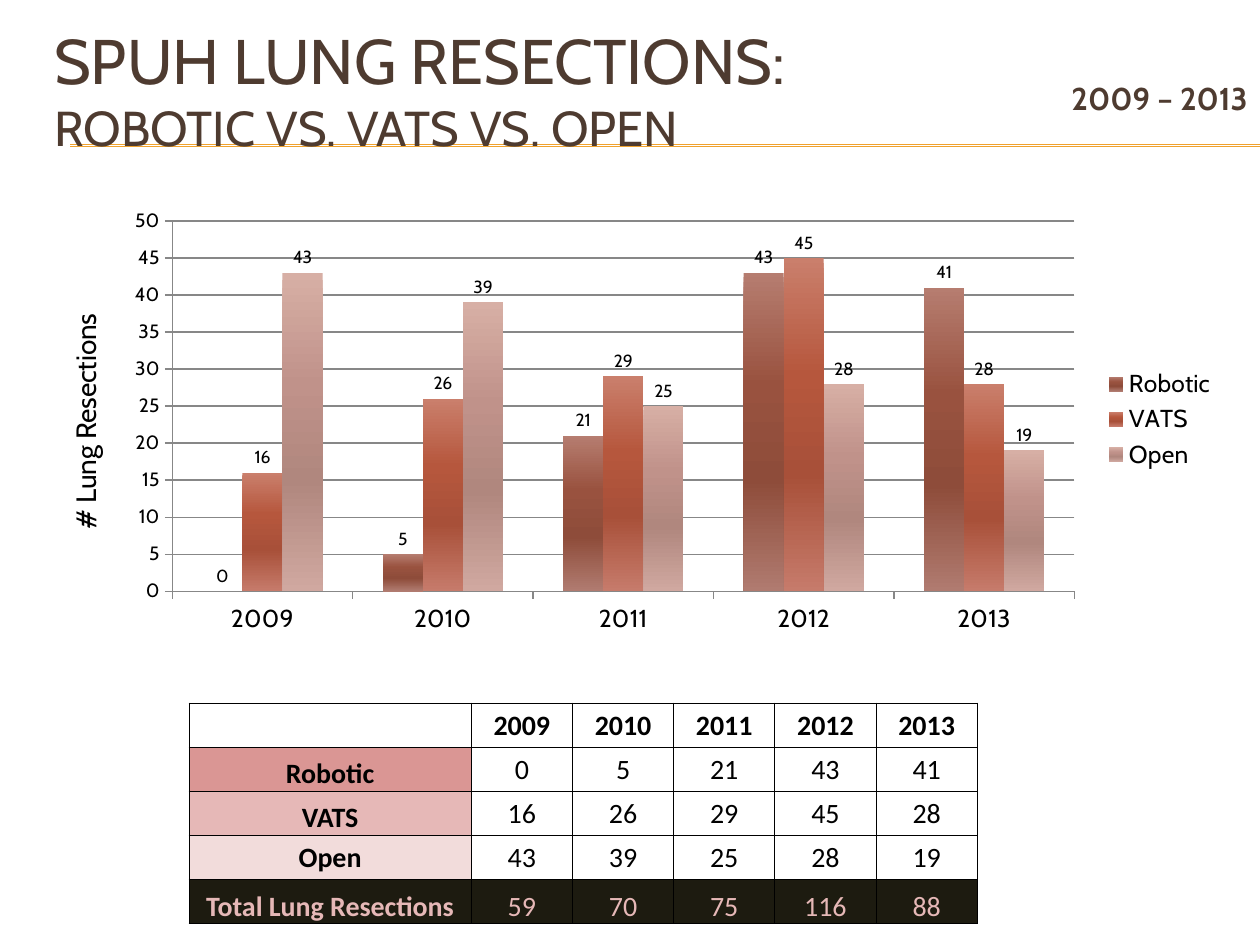
import copy
from dataclasses import dataclass

import lxml.etree
import pptx
import pptx.chart.data
import pptx.dml.color
import pptx.enum.chart
import pptx.enum.shapes
import pptx.enum.text
import pptx.oxml
import pptx.oxml.ns
import pptx.util

Cm, Pt = pptx.util.Cm, pptx.util.Pt
RGB = pptx.dml.color.RGBColor.from_string
qn = pptx.oxml.ns.qn
ALIGN = pptx.enum.text.PP_ALIGN
ANCHOR = pptx.enum.text.MSO_ANCHOR


@dataclass(frozen=True)
class Theme:
    font: str = "Cabin"
    table_font: str = "Calibri"
    brown: str = "4E3B30"
    gold: str = "F0A22E"
    black: str = "000000"
    grid: str = "878787"
    total_fill: str = "1D1B10"
    total_text: str = "E6B8B7"
    title: int = 36
    subtitle: int = 28
    date: int = 18
    axis_title: int = 16
    category: int = 14
    value: int = 11
    label: int = 10
    cell: int = 16


@dataclass(frozen=True)
class Approach:
    name: str
    counts: tuple[int, ...]
    gradient: tuple[str, ...]
    row_fill: str
    anchor: ANCHOR


T = Theme()
YEARS = ("2009", "2010", "2011", "2012", "2013")
STOPS = (0, 0.35, 0.65, 1)
APPROACHES = (
    Approach("Robotic", (0, 5, 21, 43, 41), ("B67D70", "99523F", "8E4C3A", "B07B70"),
             "DA9694", ANCHOR.BOTTOM),
    Approach("VATS", (16, 26, 29, 45, 28), ("CA7F6C", "B6573D", "A85039", "C67B6B"),
             "E6B8B7", ANCHOR.BOTTOM),
    Approach("Open", (43, 39, 25, 28, 19), ("D7AFA5", "C0928A", "B0877E", "D0A8A0"),
             "F2DCDB", ANCHOR.MIDDLE),
)


def style_font(font, size: int, color: str = T.black, name: str = T.font, bold: bool = False) -> None:
    font.name, font.size, font.bold = name, Pt(size), bold
    font.color.rgb = RGB(color)


def add_run(p, text: str, size: int, color: str, name: str = T.font, bold: bool = False) -> None:
    r = p.add_run()
    r.text = text
    style_font(r.font, size, color, name, bold)


def add_rule(s, y: float) -> None:
    """Draw a gold header rule behind the title."""
    line = s.shapes.add_connector(
        pptx.enum.shapes.MSO_CONNECTOR.STRAIGHT, Cm(1.42), Cm(y), Cm(25.4), Cm(y))
    line.line.color.rgb = RGB(T.gold)
    line.line.width = Pt(0.75)
    lxml.etree.SubElement(line._element.spPr, qn("a:effectLst"))
    s.shapes._spTree.insert(2, line._element)


def add_header(s) -> None:
    title = s.shapes.title
    title.left, title.top, title.width, title.height = Cm(0.84), Cm(0.2), Cm(24.13), Cm(3.18)
    title.text_frame.vertical_anchor = ANCHOR.MIDDLE
    p = title.text_frame.paragraphs[0]
    p.alignment = ALIGN.LEFT
    add_run(p, "SPUH LUNG RESECTIONS:", T.title, T.brown)
    p.add_line_break()
    add_run(p, "ROBOTIC VS. VATS VS. OPEN", T.subtitle, T.brown)

    tf = s.shapes.add_textbox(Cm(20.27), Cm(1.47), Cm(5.13), Cm(1.02)).text_frame
    tf.word_wrap = True
    p = tf.paragraphs[0]
    p.alignment = ALIGN.RIGHT
    add_run(p, "2009 – 2013", T.date, T.brown, bold=True)


def set_gradient(series, colors: tuple[str, ...]) -> None:
    fill = series.format.fill
    fill.gradient()
    fill.gradient_angle = 270
    stops = series._element.find(".//" + qn("a:gsLst"))
    for _ in colors[2:]:
        stops.append(copy.deepcopy(stops[0]))
    for stop, position, color in zip(fill.gradient_stops, STOPS, colors):
        stop.position = position
        stop.color.rgb = RGB(color)


def set_plot_area(chart, **fractions: float) -> None:
    """Fix the inner plot area as fractions of the chart."""
    plot_area = chart._chartSpace.chart.plotArea
    old = plot_area.find(qn("c:layout"))
    if old is not None:
        plot_area.remove(old)
    layout = lxml.etree.Element(qn("c:layout"))
    manual = lxml.etree.SubElement(layout, qn("c:manualLayout"))
    settings = {"layoutTarget": "inner", "xMode": "edge", "yMode": "edge", **fractions}
    for tag, value in settings.items():
        lxml.etree.SubElement(manual, qn(f"c:{tag}")).set("val", str(value))
    plot_area.insert(0, layout)


def add_resection_chart(s) -> None:
    data = pptx.chart.data.CategoryChartData()
    data.categories = YEARS
    for approach in APPROACHES:
        data.add_series(approach.name, approach.counts)
    chart = s.shapes.add_chart(
        pptx.enum.chart.XL_CHART_TYPE.COLUMN_CLUSTERED,
        Cm(0.84), Cm(4.01), Cm(23.93), Cm(8.89), data).chart
    style_font(chart.font, T.label)
    chart.has_title = False
    set_plot_area(chart, x=0.11, y=0.05, w=0.76, h=0.84)

    chart.has_legend = True
    chart.legend.position = pptx.enum.chart.XL_LEGEND_POSITION.RIGHT
    chart.legend.include_in_layout = False
    style_font(chart.legend.font, T.category)

    for axis, size in ((chart.category_axis, T.category), (chart.value_axis, T.value)):
        style_font(axis.tick_labels.font, size)
        axis.major_tick_mark = pptx.enum.chart.XL_TICK_MARK.OUTSIDE
        axis.format.line.color.rgb = RGB(T.grid)
    axis = chart.value_axis
    axis.minimum_scale, axis.maximum_scale, axis.major_unit = 0, 50, 5
    axis.major_gridlines.format.line.color.rgb = RGB(T.grid)
    add_run(axis.axis_title.text_frame.paragraphs[0], "# Lung Resections", T.axis_title, T.black)

    plot = chart.plots[0]
    plot.gap_width, plot.overlap, plot.vary_by_categories = 150, 0, False
    for series, approach in zip(plot.series, APPROACHES):
        set_gradient(series, approach.gradient)
        labels = series.data_labels
        labels.show_value = True
        labels.position = pptx.enum.chart.XL_LABEL_POSITION.OUTSIDE_END
        style_font(labels.font, T.label)


def fill_cell(cell, text: str, bold: bool, color: str = T.black, fill: str = "",
              anchor: ANCHOR = ANCHOR.MIDDLE) -> None:
    for side in ("lnL", "lnR", "lnT", "lnB"):
        line = lxml.etree.SubElement(cell._tc.get_or_add_tcPr(), qn(f"a:{side}"), w=str(Pt(0.5)))
        solid = lxml.etree.SubElement(line, qn("a:solidFill"))
        lxml.etree.SubElement(solid, qn("a:srgbClr"), val=T.black)
    cell.margin_left = cell.margin_right = cell.margin_top = Cm(0.03)
    cell.margin_bottom = 0
    cell.vertical_anchor = anchor
    if fill:
        cell.fill.solid()
        cell.fill.fore_color.rgb = RGB(fill)
    else:
        cell.fill.background()
    p = cell.text_frame.paragraphs[0]
    p.alignment = ALIGN.CENTER
    if text:
        add_run(p, text, T.cell, color, T.table_font, bold)


def add_resection_table(s) -> None:
    table = s.shapes.add_table(
        len(APPROACHES) + 2, len(YEARS) + 1, Cm(3.81), Cm(14.17), Cm(15.89), Cm(4.45)).table
    table.first_row = table.horz_banding = False
    for i, column in enumerate(table.columns):
        column.width = Cm(2.04 if i else 5.69)
    for row in table.rows:
        row.height = Cm(0.89)

    for col, year in enumerate(("", *YEARS)):
        fill_cell(table.cell(0, col), year, bold=True)
    for row, approach in enumerate(APPROACHES, 1):
        fill_cell(table.cell(row, 0), approach.name, True, fill=approach.row_fill, anchor=approach.anchor)
        for col, count in enumerate(approach.counts, 1):
            fill_cell(table.cell(row, col), str(count), bold=False)
    totals = [sum(counts) for counts in zip(*(a.counts for a in APPROACHES))]
    for col, text in enumerate(("Total Lung Resections", *totals)):
        fill_cell(table.cell(len(APPROACHES) + 1, col), str(text), col == 0,
                  T.total_text, T.total_fill, ANCHOR.BOTTOM)


def main() -> None:
    prs = pptx.Presentation()
    prs.slide_width, prs.slide_height = Cm(25.4), Cm(19.05)
    s = prs.slides.add_slide(prs.slide_layouts[5])
    add_header(s)
    for y in (2.92, 2.95):
        add_rule(s, y)
    add_resection_chart(s)
    add_resection_table(s)
    prs.save("out.pptx")


if __name__ == "__main__":
    main()
